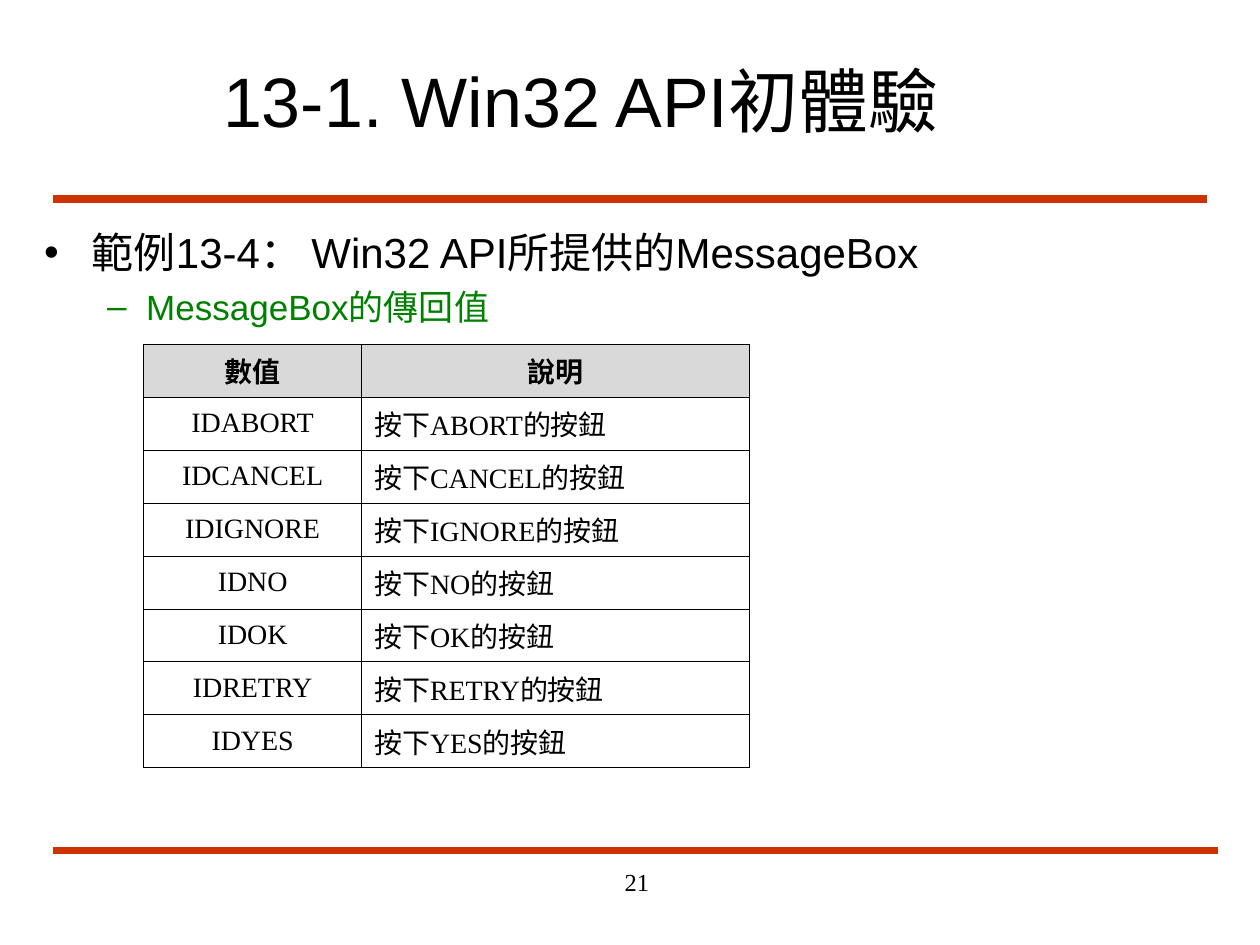
"""Build the slide on MessageBox return values."""
from lxml import etree
from pptx import Presentation, util as u
from pptx.dml.color import RGBColor
from pptx.enum import shapes, text
from pptx.oxml import ns

TITLE = "13-1. Win32 API初體驗"
POINTS = [
    dict(words="範例13-4： Win32 API所提供的MessageBox", level=0, mark="•",
         left=0.38, hang=0.38, size=24, color="000000", before=0),
    dict(words="MessageBox的傳回值", level=1, mark="–",
         left=0.81, hang=0.31, size=20, color="008000", before=5),
]
HEADS = ["數值", "說明"]
KEYS = ["ABORT", "CANCEL", "IGNORE", "NO", "OK", "RETRY", "YES"]
PAGE = "21"
RULES = [(1.58, 9.58), (6.75, 9.67)]
COLS = [1.73, 3.08]
ROW = 0.42
HAN, SERIF = "Noto Sans CJK SC", "Times New Roman"
LEFT, MID, RIGHT = text.PP_ALIGN.LEFT, text.PP_ALIGN.CENTER, text.PP_ALIGN.RIGHT
TOP, HALF = text.MSO_ANCHOR.TOP, text.MSO_ANCHOR.MIDDLE


def paint(code):
    return RGBColor.from_string(code)


def place(shape, *box):
    shape.left, shape.top, shape.width, shape.height = map(u.Inches, box)


def child(parent, tag, **attrs):
    return etree.SubElement(parent, ns.qn(tag), attrs)


def write(para, words, font="Arial", size=16, color="000000", bold=False, align=LEFT):
    para.alignment = align
    run = para.add_run()
    run.text = words
    face = run.font
    face.name, face.size, face.bold = font, u.Pt(size), bold
    face.color.rgb = paint(color)
    child(face._element, "a:ea", typeface=HAN)


def setup(frame, anchor):
    frame.word_wrap = True
    frame.auto_size = text.MSO_AUTO_SIZE.NONE
    frame.vertical_anchor = anchor


def rule(slide, top, end):
    line = slide.shapes.add_connector(
        shapes.MSO_CONNECTOR.STRAIGHT,
        u.Inches(0.42), u.Inches(top), u.Inches(end), u.Inches(top))
    line.line.color.rgb = paint("CC3300")
    line.line.width = u.Pt(4.5)
    child(line._element.spPr, "a:effectLst")


def point(para, words, level, mark, left, hang, size, color, before):
    para.level = level
    props = para._p.get_or_add_pPr()
    props.set("marL", str(u.Inches(left)))
    props.set("indent", str(-u.Inches(hang)))
    child(child(props, "a:buClr"), "a:srgbClr", val=color)
    child(props, "a:buFont", typeface="Arial")
    child(props, "a:buChar", char=mark)
    para.space_before = u.Pt(before)
    write(para, words, size=size, color=color)


def border(cell):
    props = cell._tc.get_or_add_tcPr()
    for spot, side in enumerate("LRTB"):
        edge = etree.Element(ns.qn("a:ln" + side), w=str(u.Pt(0.45)))
        child(child(edge, "a:solidFill"), "a:srgbClr", val="000000")
        props.insert(spot, edge)


def grid(slide):
    rows = [[[(head, HAN)] for head in HEADS]]
    rows += [[[("ID" + key, SERIF)], [("按下", HAN), (key, SERIF), ("的按鈕", HAN)]]
             for key in KEYS]
    table = slide.shapes.add_table(
        len(rows), len(COLS), u.Inches(1.14), u.Inches(2.73),
        u.Inches(sum(COLS)), u.Inches(ROW * len(rows))).table
    for col, width in zip(table.columns, COLS):
        col.width = u.Inches(width)
    for i, row in enumerate(rows):
        table.rows[i].height = u.Inches(ROW)
        for j, parts in enumerate(row):
            cell = table.cell(i, j)
            cell.fill.solid()
            cell.fill.fore_color.rgb = paint("FFFFFF" if i else "D9D9D9")
            cell.vertical_anchor = HALF if i and j == 0 else TOP
            border(cell)
            for words, font in parts:
                write(cell.text_frame.paragraphs[0], words, font=font,
                      bold=i == 0, align=LEFT if i and j else MID)


def main():
    deck = Presentation()
    deck.slide_width, deck.slide_height = u.Inches(10), u.Inches(7.5)
    slide = deck.slides.add_slide(deck.slide_layouts[1])
    title, body = slide.placeholders
    for top, end in RULES:
        rule(slide, top, end)

    place(title, 1.67, 0.33, 7.58, 0.92)
    setup(title.text_frame, HALF)
    write(title.text_frame.paragraphs[0], TITLE, size=40)

    place(body, 0.25, 1.75, 9.5, 4.83)
    frame = body.text_frame
    setup(frame, TOP)
    for i, item in enumerate(POINTS):
        point(frame.add_paragraph() if i else frame.paragraphs[0], **item)

    grid(slide)

    page = slide.shapes.add_textbox(*map(u.Inches, (3.17, 6.83, 2.08, 0.5)))
    setup(page.text_frame, TOP)
    write(page.text_frame.paragraphs[0], PAGE, font=SERIF, size=14, align=RIGHT)
    deck.save("out.pptx")


if __name__ == "__main__":
    main()
